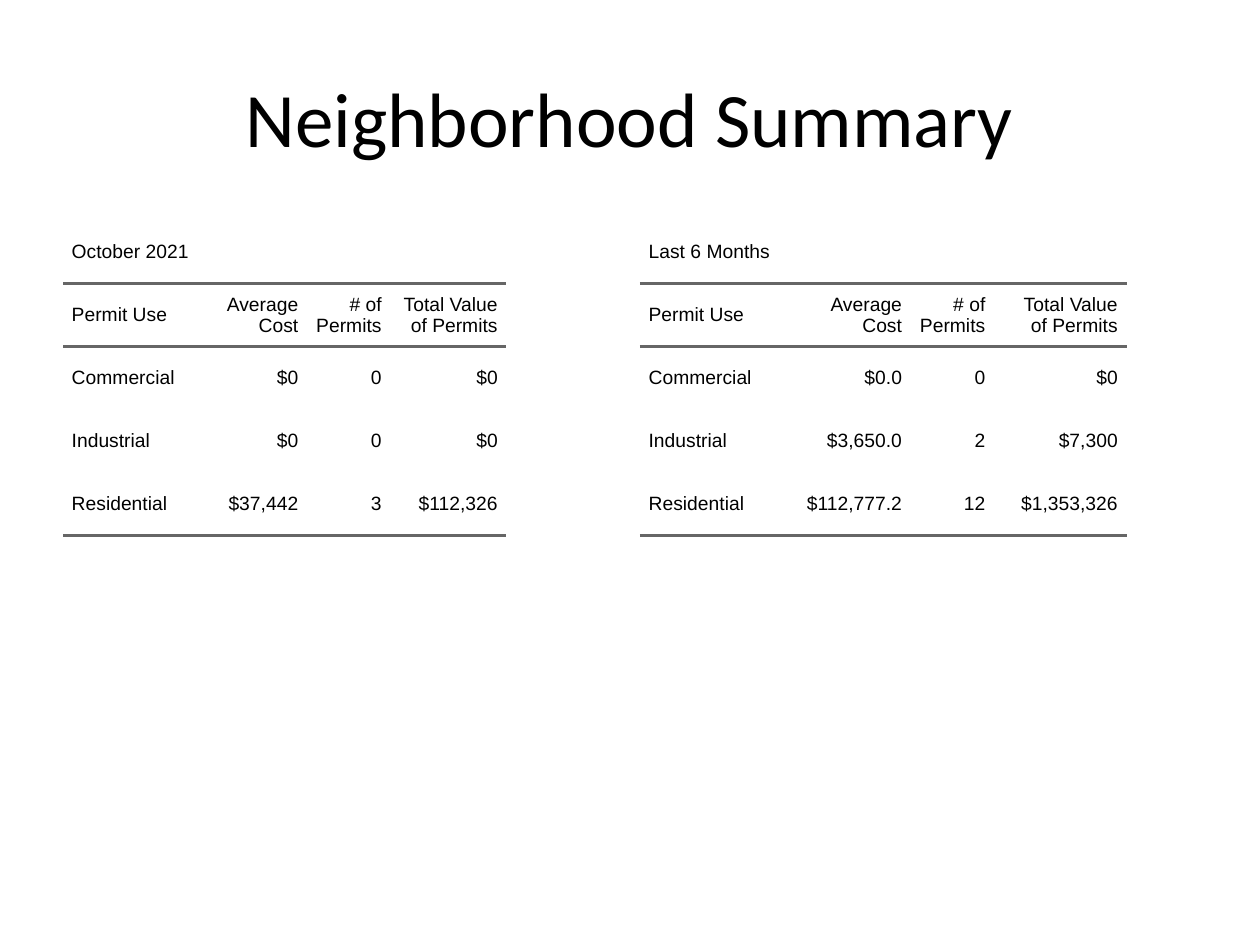
from dataclasses import dataclass

from lxml.etree import SubElement
from pptx import Presentation
from pptx.dml.color import RGBColor
from pptx.enum.text import MSO_ANCHOR as Anchor, PP_ALIGN as Align
from pptx.oxml.ns import qn
from pptx.util import Cm, Pt

PLAIN_STYLE = "{2D5ABB26-0587-4C30-8999-92F81FD0307C}"
BLACK = "000000"
RULE_GRAY = "666666"
ROW_HEIGHT = 1.27
HEADINGS = ("Permit Use", "Average Cost", "# of Permits", "Total Value of Permits")


@dataclass
class PermitTable:
    caption: str
    left: float
    widths: tuple[float, ...]
    rows: tuple[tuple[str, ...], ...]


TABLES = (
    PermitTable("October 2021", 1.27, (2.79, 2.13, 1.68, 2.34), (
        ("Commercial", "$0", "0", "$0"),
        ("Industrial", "$0", "0", "$0"),
        ("Residential", "$37,442", "3", "$112,326"),
    )),
    PermitTable("Last 6 Months", 12.9, (2.79, 2.67, 1.68, 2.67), (
        ("Commercial", "$0.0", "0", "$0"),
        ("Industrial", "$3,650.0", "2", "$7,300"),
        ("Residential", "$112,777.2", "12", "$1,353,326"),
    )),
)


def style_font(font, name: str, size: float, color: str) -> None:
    font.name = name
    font.size = Pt(size)
    font.color.rgb = RGBColor.from_string(color)


def add_border(cell, side: str) -> None:
    """Rule one side of a cell: lnT is the top, lnB the bottom."""
    line = SubElement(cell._tc.get_or_add_tcPr(), qn(f"a:{side}"), w=str(Pt(2)))
    fill = SubElement(line, qn("a:solidFill"))
    SubElement(fill, qn("a:srgbClr"), val=RULE_GRAY)


def write_cell(cell, text: str, align: Align, sides: tuple[str, ...]) -> None:
    cell.text = text
    cell.vertical_anchor = Anchor.MIDDLE
    cell.margin_left = cell.margin_right = cell.margin_top = cell.margin_bottom = 0
    for side in sides:
        add_border(cell, side)
    cell.fill.background()
    para = cell.text_frame.paragraphs[0]
    para.alignment = align
    para.space_before = para.space_after = Pt(5)
    properties = para._p.get_or_add_pPr()
    for margin in ("marL", "marR"):
        properties.set(margin, str(Pt(5)))
    style_font(para.font, "Arial", 11, BLACK)


def add_permit_table(page, permits: PermitTable) -> None:
    rows = (HEADINGS, *permits.rows)
    frame = page.shapes.add_table(
        len(rows) + 1, len(HEADINGS), Cm(permits.left), Cm(4.45), Cm(11.23), Cm(12.57))
    table = frame.table
    table.first_row = table.horz_banding = False
    table._tbl.tblPr.find(qn("a:tableStyleId")).text = PLAIN_STYLE
    for column, width in zip(table.columns, permits.widths):
        column.width = Cm(width)
    for row in table.rows:
        row.height = Cm(ROW_HEIGHT)
    frame.width, frame.height = Cm(11.23), Cm(12.57)

    caption = table.cell(0, 0)
    caption.merge(table.cell(0, len(HEADINGS) - 1))
    write_cell(caption, permits.caption, Align.LEFT, ())
    ruled_sides = {1: ("lnT", "lnB"), len(rows): ("lnB",)}
    for row_index, values in enumerate(rows, start=1):
        for column_index, text in enumerate(values):
            align = Align.RIGHT if column_index else Align.LEFT
            write_cell(table.cell(row_index, column_index), text, align,
                       ruled_sides.get(row_index, ()))


def add_title(page, text: str) -> None:
    title = page.shapes.title
    title.left, title.top, title.width, title.height = (
        Cm(1.27), Cm(0.76), Cm(22.86), Cm(3.18))
    title.text_frame.text = text
    title.text_frame.vertical_anchor = Anchor.MIDDLE
    para = title.text_frame.paragraphs[0]
    para.alignment = Align.CENTER
    style_font(para.font, "Calibri", 44, BLACK)


def main() -> None:
    deck = Presentation()
    deck.slide_width, deck.slide_height = Cm(25.4), Cm(19.05)
    page = deck.slides.add_slide(deck.slide_layouts[5])
    add_title(page, "Neighborhood Summary")
    for permits in TABLES:
        add_permit_table(page, permits)
    deck.save("out.pptx")


if __name__ == "__main__":
    main()
